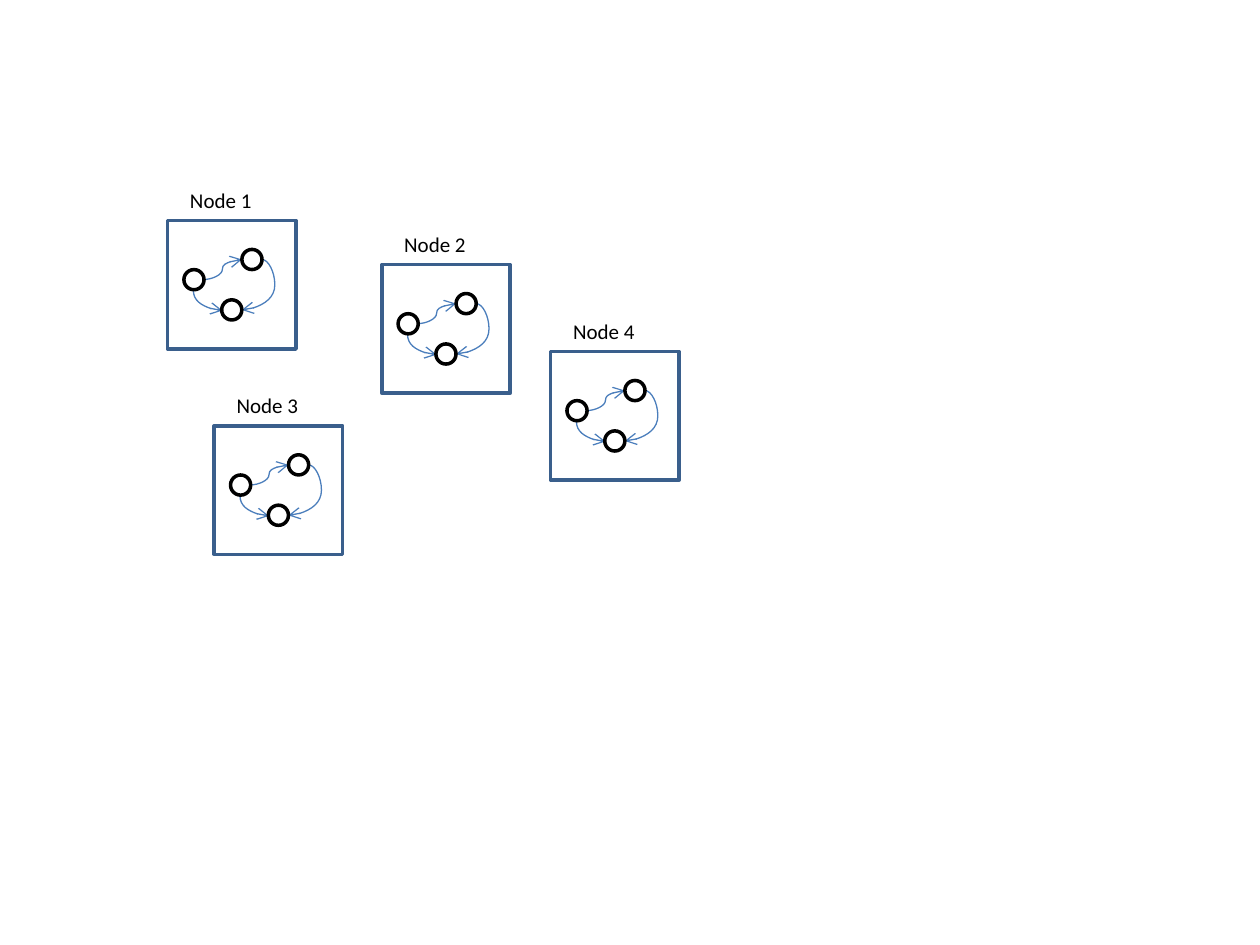
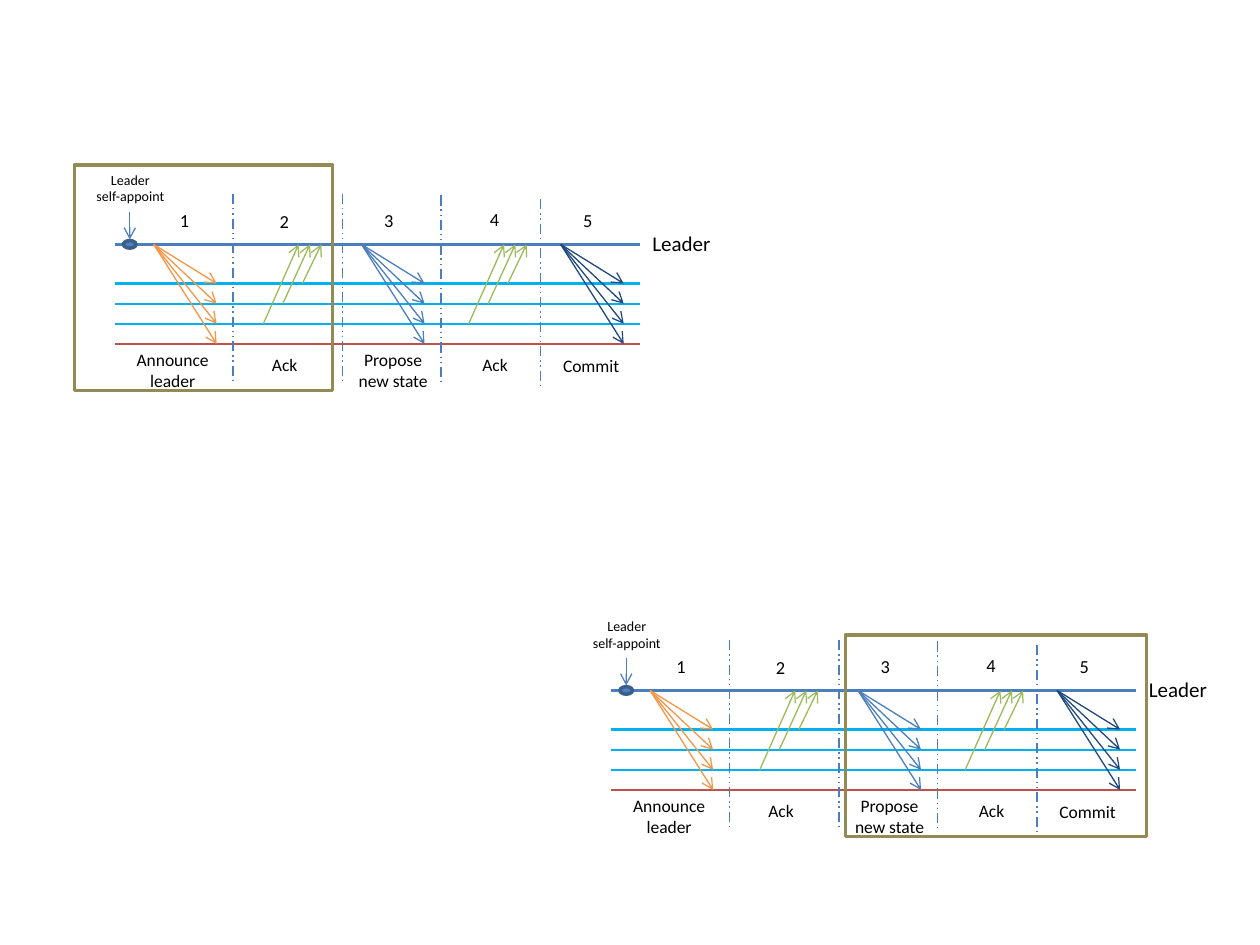
from lxml import etree
from pptx import Presentation
from pptx.dml.color import RGBColor
from pptx.enum.dml import MSO_LINE
from pptx.enum.shapes import MSO_CONNECTOR, MSO_SHAPE
from pptx.enum.text import MSO_AUTO_SIZE, PP_ALIGN
from pptx.oxml.ns import qn
from pptx.util import Inches, Pt

BLUE, DARK_BLUE, NAVY = "4B7EBC", "3A5F8C", "1F497D"
CYAN, RED, ORANGE, GREEN, OLIVE = "00B0F0", "C0504D", "F79646", "9BBB59", "948A54"
BLACK, DOT_BLUE = "000000", "4F81BD"
THIN = {"width": Pt(0.75)}
LANE = {"width": Pt(1.25)}
DASHED = {"width": Pt(0.75), "dash_style": MSO_LINE.DASH_DOT_DOT}
THICK = {"width": Pt(2)}
TEXT_BOX = {"word_wrap": False, "auto_size": MSO_AUTO_SIZE.SHAPE_TO_FIT_TEXT}


def color(value):
    return RGBColor.from_string(value)


def add_line(shapes, x1, y1, x2, y2, hue, fmt, arrow=False, kind=MSO_CONNECTOR.STRAIGHT):
    c = shapes.add_connector(kind, Inches(x1), Inches(y1), Inches(x2), Inches(y2))
    c.line.color.rgb = color(hue)
    for key, value in fmt.items():
        setattr(c.line, key, value)
    spPr = c._element.spPr
    if arrow:
        etree.SubElement(spPr.find(qn("a:ln")), qn("a:tailEnd"), type="arrow")
    etree.SubElement(spPr, qn("a:effectLst"))
    return spPr


prs = Presentation()
prs.slide_width, prs.slide_height = Inches(10), Inches(7.5)
outlines, labels = [], []

s = prs.slides.add_slide(prs.slide_layouts[6])
nodes = [(1.33, 1.75), (3.03, 2.1), (1.7, 3.38), (4.37, 2.79)]
for number, (x, y) in enumerate(nodes, 1):
    shapes = s.shapes.add_group_shape().shapes
    for dx, dy in [(0.13, 0.39), (0.59, 0.23), (0.43, 0.63)]:
        outlines.append((shapes, MSO_SHAPE.OVAL, x + dx, y + dy, 0.16, 0.16, BLACK, None))
    outlines.append((shapes, MSO_SHAPE.RECTANGLE, x, y, 1.02, 1.02, DARK_BLUE, None))
    labels.append((shapes, f"Node {number}", x + 0.08, y - 0.31, 0.7, 0.3, 12))
    curves = []
    for x1, y1, x2, y2 in [(0.28, 0.47, 0.59, 0.31), (0.75, 0.31, 0.59, 0.71), (0.4, 0.52, 0.24, 0.75)]:
        curves.append(add_line(shapes, x + x1, y + y1, x + x2, y + y2, BLUE, THIN, True, MSO_CONNECTOR.CURVE))
    bulge, quarter = curves[1:]
    av = bulge.find(qn("a:prstGeom")).get_or_add_avLst()
    etree.SubElement(av, qn("a:gd"), name="adj1", fmla="val -63800")
    quarter.find(qn("a:prstGeom")).set("prst", "curvedConnector2")
    quarter.find(qn("a:xfrm")).set("rot", "16200000")

s = prs.slides.add_slide(prs.slide_layouts[6])
leader_y = 1.94
followers = [2.25, 2.41, 2.57, 2.73]
for dx, dy in [(0, 0), (3.94, 3.54)]:
    top = dy + leader_y
    for y, hue in zip([leader_y] + followers, [BLUE, CYAN, CYAN, CYAN, RED]):
        add_line(s.shapes, dx + 0.91, dy + y, dx + 5.08, dy + y, hue, LANE)
    for x, hue in [(1.22, ORANGE), (2.87, BLUE), (4.45, NAVY)]:
        fan = s.shapes.add_group_shape().shapes
        for y in followers:
            add_line(fan, dx + x, top, dx + x + 0.5, dy + y, hue, THIN, True)
    for x in [2.09, 3.72]:
        for i, y in enumerate(followers[2::-1]):
            start = dx + x + 0.155 * i
            add_line(s.shapes, start, dy + y, dx + x + 0.28 + 0.09 * i, top, GREEN, THIN, True)
    for x, y in [(1.85, 1.54), (2.72, 1.54), (3.5, 1.55), (4.29, 1.58)]:
        add_line(s.shapes, dx + x, dy + y, dx + x, dy + y + 1.51, BLUE, DASHED)
    add_line(s.shapes, dx + 1.03, dy + 1.68, dx + 1.03, dy + 1.9, BLUE, THIN, True)
    outlines.append((s.shapes, MSO_SHAPE.OVAL, dx + 0.98, dy + 1.91, 0.1, 0.06, DARK_BLUE, DOT_BLUE))
    for text, x, y, w, h, size in [
        ("Leader", 5.08, 1.78, 0.67, 0.3, 12),
        ("Leader\vself-appoint", 0.66, 1.31, 0.75, 0.37, 8),
        ("1", 1.33, 1.61, 0.28, 0.29, 10.5),
        ("2", 2.12, 1.62, 0.28, 0.29, 10.5),
        ("3", 2.95, 1.61, 0.28, 0.29, 10.5),
        ("4", 3.79, 1.6, 0.28, 0.29, 10.5),
        ("5", 4.53, 1.61, 0.28, 0.29, 10.5),
        ("Announce\vleader", 0.98, 2.72, 0.78, 0.44, 10),
        ("Ack", 2.06, 2.76, 0.41, 0.27, 10),
        ("Propose\vnew state", 2.74, 2.72, 0.76, 0.44, 10),
        ("Ack", 3.73, 2.76, 0.41, 0.27, 10),
        ("Commit", 4.37, 2.77, 0.65, 0.27, 10),
    ]:
        labels.append((s.shapes, text, dx + x, dy + y, w, h, size))
for frame in [(0.59, 1.31, 2.05, 1.79), (6.71, 5.04, 2.39, 1.6)]:
    outlines.append((s.shapes, MSO_SHAPE.RECTANGLE, *frame, OLIVE, None))

for shapes, text, x, y, w, h, size in labels:
    tf = shapes.add_textbox(Inches(x), Inches(y), Inches(w), Inches(h)).text_frame
    for key, value in TEXT_BOX.items():
        setattr(tf, key, value)
    p = tf.paragraphs[0]
    p.text = text
    if "\v" in text:
        p.alignment = PP_ALIGN.CENTER
    for r in p.runs:
        for key, value in {"name": "Calibri", "size": Pt(size)}.items():
            setattr(r.font, key, value)
        r.font.color.rgb = color(BLACK)
    for br in p._p.findall(qn("a:br")):
        etree.SubElement(br, qn("a:rPr"), sz=str(size * 100))

for shapes, kind, x, y, w, h, hue, fill in outlines:
    sp = shapes.add_shape(kind, Inches(x), Inches(y), Inches(w), Inches(h))
    sp.shadow.inherit = False
    if fill:
        sp.fill.solid()
        sp.fill.fore_color.rgb = color(fill)
    else:
        sp.fill.background()
    sp.line.color.rgb = color(hue)
    for key, value in THICK.items():
        setattr(sp.line, key, value)

prs.save("out.pptx")
